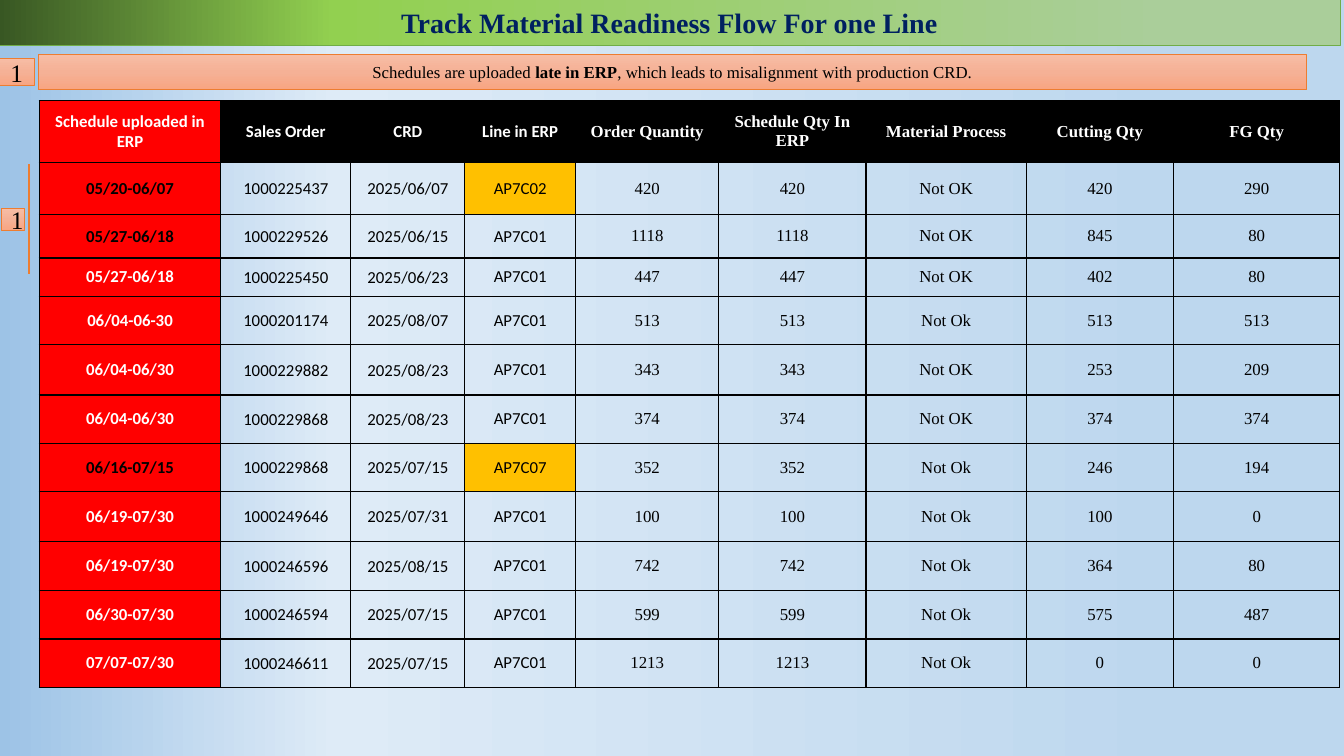
from lxml.etree import SubElement as Sub
from pptx import Presentation
from pptx.dml.color import RGBColor as RGB
from pptx.enum.shapes import MSO_CONNECTOR as LINE, MSO_SHAPE as SHAPE
from pptx.enum.text import MSO_ANCHOR as ANCHOR, PP_ALIGN as ALIGN
from pptx.oxml.ns import qn
from pptx.util import Inches, Pt

BLACK = RGB(0x00, 0x00, 0x00)
WHITE = RGB(0xFF, 0xFF, 0xFF)
RED = RGB(0xFF, 0x00, 0x00)
AMBER = RGB(0xFF, 0xC0, 0x00)
NAVY = RGB(0x00, 0x20, 0x60)
ORANGE = RGB(0xED, 0x7D, 0x31)
GREEN = RGB(0x70, 0xAD, 0x47)

SKY = [(13, RGB(0xBD, 0xD7, 0xEE)), (75, RGB(0xDE, 0xEB, 0xF7)),
       (100, RGB(0x9D, 0xC3, 0xE6))]
PEACH = [(0, RGB(0xF7, 0xBD, 0xA5)), (50, RGB(0xF5, 0xB1, 0x96)),
         (100, RGB(0xF8, 0xA5, 0x82))]
LEAF = [(13, RGB(0xAA, 0xCE, 0x9A)), (75, RGB(0x92, 0xD0, 0x50)),
        (100, RGB(0x38, 0x57, 0x23))]

WIDTHS = [1.8, 1.29, 1.13, 1.1, 1.42, 1.46, 1.59, 1.46, 1.65]
HEIGHTS = [0.61, 0.52, 0.43, 0.38, 0.48, 0.5,
           0.48, 0.48, 0.49, 0.49, 0.48, 0.48]
HEADS = ["Schedule uploaded in ERP", "Sales Order", "CRD", "Line in ERP",
         "Order Quantity", "Schedule Qty In ERP", "Material Process",
         "Cutting Qty", "FG Qty"]
# schedule, sales order, CRD, line, quantity, process, cutting, FG
ORDERS = [
    ("05/20-06/07", "1000225437", "2025/06/07", "AP7C02", "420", "Not OK", "420", "290"),
    ("05/27-06/18", "1000229526", "2025/06/15", "AP7C01", "1118", "Not OK", "845", "80"),
    ("05/27-06/18", "1000225450", "2025/06/23", "AP7C01", "447", "Not OK", "402", "80"),
    ("06/04-06-30", "1000201174", "2025/08/07", "AP7C01", "513", "Not Ok", "513", "513"),
    ("06/04-06/30", "1000229882", "2025/08/23", "AP7C01", "343", "Not OK", "253", "209"),
    ("06/04-06/30", "1000229868", "2025/08/23", "AP7C01", "374", "Not OK", "374", "374"),
    ("06/16-07/15", "1000229868", "2025/07/15", "AP7C07", "352", "Not Ok", "246", "194"),
    ("06/19-07/30", "1000249646", "2025/07/31", "AP7C01", "100", "Not Ok", "100", "0"),
    ("06/19-07/30", "1000246596", "2025/08/15", "AP7C01", "742", "Not Ok", "364", "80"),
    ("06/30-07/30", "1000246594", "2025/07/15", "AP7C01", "599", "Not Ok", "575", "487"),
    ("07/07-07/30", "1000246611", "2025/07/15", "AP7C01", "1213", "Not Ok", "0", "0"),
]
DARK_ROWS = {1, 2, 7}  # rows whose schedule is set in black


class Board:
    serif = "Times New Roman"
    sans = "Calibri"

    def __init__(self, slide):
        self.slide = slide

    def blend(self, owner, fill, stops, angle):
        """Fill with a gradient of any number of (percent, colour) stops."""
        fill.gradient()
        fill.gradient_angle = angle
        chain = owner.element.find(".//" + qn("a:gsLst"))
        for old in list(chain):
            chain.remove(old)
        for place, color in stops:
            stop = Sub(chain, qn("a:gs"), pos=str(place * 1000))
            Sub(stop, qn("a:srgbClr"), val=str(color))

    def label(self, frame, runs, size, color, font):
        """Add (text, bold) runs as one centred paragraph."""
        para = frame.paragraphs[0]
        para.alignment = ALIGN.CENTER
        for text, bold in runs:
            run = para.add_run()
            run.text = text
            run.font.name = font
            run.font.size = Pt(size)
            run.font.bold = bold
            run.font.color.rgb = color

    def box(self, place, runs, size, color=BLACK, stops=PEACH, angle=270, edge=ORANGE):
        shape = self.slide.shapes.add_shape(SHAPE.RECTANGLE, *map(Inches, place))
        shape.shadow.inherit = False
        self.blend(shape, shape.fill, stops, angle)
        shape.line.color.rgb = edge
        shape.line.width = Pt(0.5)
        frame = shape.text_frame
        frame.word_wrap = True
        frame.vertical_anchor = ANCHOR.MIDDLE
        self.label(frame, runs, size, color, self.serif)

    def rule(self, x, top, end):
        """Draw the upright line beside the marked rows."""
        line = self.slide.shapes.add_connector(
            LINE.STRAIGHT, Inches(x), Inches(top), Inches(x), Inches(end))
        line.line.color.rgb = ORANGE
        line.line.width = Pt(1.5)
        Sub(line.element.spPr, qn("a:effectLst"))

    def border(self, cell):
        props = cell._tc.get_or_add_tcPr()
        for index, side in enumerate(("lnL", "lnR", "lnT", "lnB")):
            line = props.makeelement(qn("a:" + side), {"w": str(Pt(1))})
            props.insert(index, line)
            Sub(Sub(line, qn("a:solidFill")), qn("a:srgbClr"), val=str(BLACK))

    def cell(self, cell, text, row, col):
        head = row == 0
        if col == 0:
            fill = RED
        elif head:
            fill = BLACK
        elif col == 3 and text != "AP7C01":
            fill = AMBER
        else:
            fill = None
        if fill is None:
            cell.fill.background()
        else:
            cell.fill.solid()
            cell.fill.fore_color.rgb = fill
        if not head and col in (1, 2):
            cell.margin_left = cell.margin_right = cell.margin_top = Inches(0.01)
            cell.margin_bottom = 0
        cell.vertical_anchor = ANCHOR.MIDDLE
        light = head or (col == 0 and row not in DARK_ROWS)
        self.label(cell.text_frame, [(text, head or col == 0)], 12,
                   WHITE if light else BLACK, self.sans if col < 4 else self.serif)
        self.border(cell)

    def table(self, left, top, rows):
        table = self.slide.shapes.add_table(
            len(rows), len(WIDTHS), Inches(left), Inches(top),
            Inches(sum(WIDTHS)), Inches(sum(HEIGHTS))).table
        table.first_row = table.horz_banding = False
        for column, width in zip(table.columns, WIDTHS):
            column.width = Inches(width)
        for row, (height, texts) in enumerate(zip(HEIGHTS, rows)):
            table.rows[row].height = Inches(height)
            for col, text in enumerate(texts):
                self.cell(table.cell(row, col), text, row, col)


def main():
    deck = Presentation()
    deck.slide_width, deck.slide_height = Inches(13.33), Inches(7.5)
    slide = deck.slides.add_slide(deck.slide_layouts[6])
    board = Board(slide)
    board.blend(slide, slide.background.fill, SKY, 180)

    # the scheduled quantity equals the ordered one on every row
    board.table(0.39, 1, [HEADS] + [order[:5] + order[4:] for order in ORDERS])
    board.rule(0.29, 1.63, 2.72)
    for place in ((0.01, 2.07, 0.23, 0.22), (-0.01, 0.58, 0.35, 0.27)):
        board.box(place, [("1", False)], 18)
    board.box((0.38, 0.54, 12.58, 0.35),
              [("Schedules are uploaded ", False), ("late in ERP", True),
               (", which leads to misalignment with production CRD.", False)], 12)
    board.box((-0.01, -0.01, 13.3, 0.46),
              [("Track Material Readiness Flow For one Line", True)], 20,
              NAVY, LEAF, 180, GREEN)
    deck.save("out.pptx")


if __name__ == "__main__":
    main()
